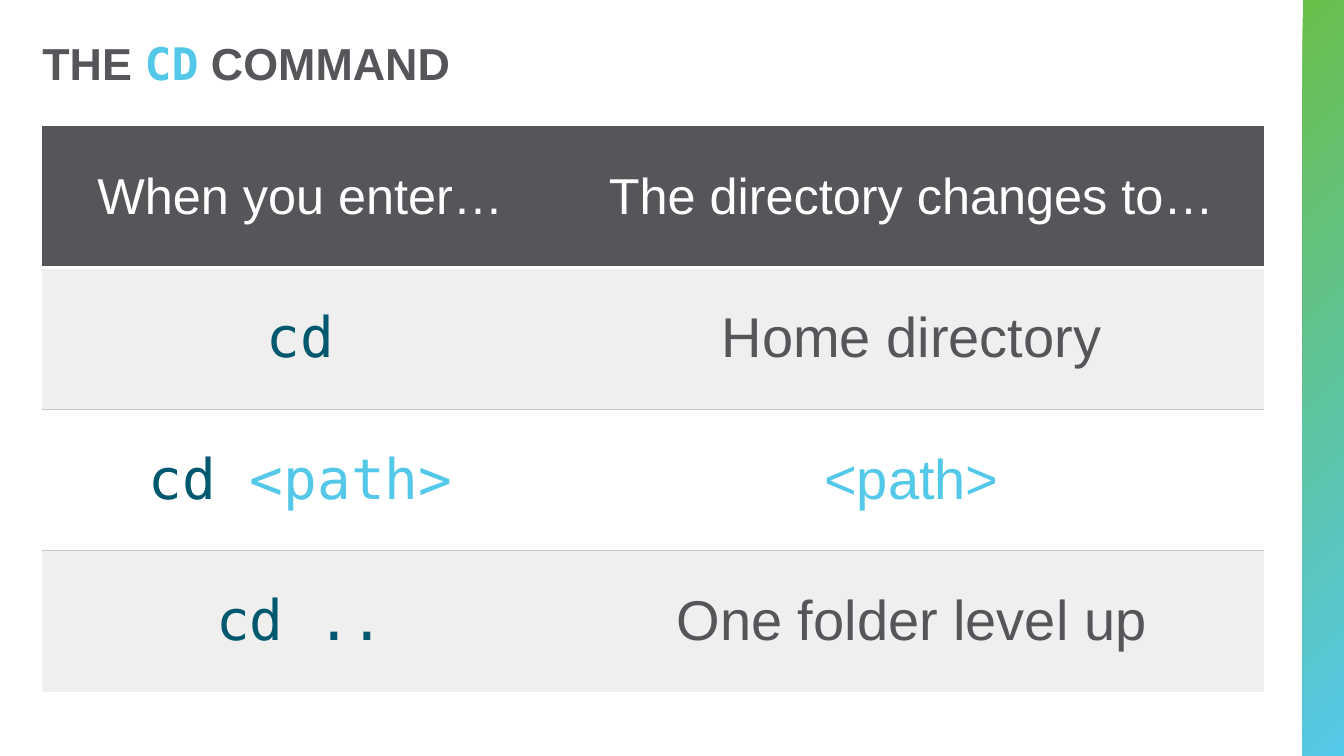
from typing import NamedTuple, Optional

from lxml import etree
from pptx import Presentation
from pptx import util as u
from pptx.dml import color
from pptx.enum import shapes, text
from pptx.oxml import ns

SANS, MONO = "Arial", "DejaVu Sans Mono"
GRAY, SKY, TEAL, WHITE = "56565A", "54C8E8", "00586F", "FFFFFF"
GREEN, PALE, RULE = "6ABF4B", "EFEFF0", "C8C8C8"


class Run(NamedTuple):
    words: str
    size: int
    font: str
    tint: str
    bold: bool = False


class Edge(NamedTuple):
    tint: str
    width: int


class Row(NamedTuple):
    fill: str
    cells: list[list[Run]]


def paint(target, tint: str) -> None:
    target.rgb = color.RGBColor.from_string(tint)


def write(para, runs: list[Run]) -> None:
    for item in runs:
        run = para.add_run()
        run.text = item.words
        font = run.font
        font.size, font.name, font.bold = u.Pt(item.size), item.font, item.bold
        paint(font.color, item.tint)


def border(cell, side: str, edge: Optional[Edge], slot: int) -> None:
    """Put one cell border at its place ahead of the cell fill."""
    line = etree.Element(ns.qn(f"a:ln{side}"))
    if edge:
        line.set("w", str(u.Pt(edge.width)))
        solid = etree.SubElement(line, ns.qn("a:solidFill"))
        etree.SubElement(solid, ns.qn("a:srgbClr"), val=edge.tint)
    else:
        line.set("w", "0")
        etree.SubElement(line, ns.qn("a:noFill"))
    cell._tc.get_or_add_tcPr().insert(slot, line)


def fill_cell(cell, runs: list[Run], fill: str, top: Optional[Edge], base: Edge) -> None:
    cell.fill.solid()
    paint(cell.fill.fore_color, fill)
    cell.vertical_anchor = text.MSO_ANCHOR.MIDDLE
    para = cell.text_frame.paragraphs[0]
    para.alignment = text.PP_ALIGN.CENTER
    write(para, runs)
    sides = {"L": None, "R": None, "T": top, "B": base}
    for slot, (side, edge) in enumerate(sides.items()):
        border(cell, side, edge, slot)


def head(words: str) -> list[Run]:
    return [Run(words, 36, SANS, WHITE)]


def code(words: str, tint: str = TEAL) -> Run:
    return Run(words, 40, MONO, tint)


def plain(words: str, tint: str = GRAY) -> Run:
    return Run(words, 40, SANS, tint)


deck = Presentation()
deck.slide_width, deck.slide_height = u.Inches(13.33), u.Inches(7.5)
slide = deck.slides.add_slide(deck.slide_layouts[6])

# Gradient band on the right
band = slide.shapes.add_shape(
    shapes.MSO_SHAPE.RECTANGLE, u.Inches(12.92), 0, u.Inches(0.41), u.Inches(7.5))
band.shadow.inherit = False
band.line.fill.background()
band.fill.gradient()
band.fill.gradient_angle = 315
for stop, (spot, tint) in zip(band.fill.gradient_stops, [(0.01, GREEN), (0.99, SKY)]):
    stop.position = spot
    paint(stop.color, tint)

# Title
title = slide.shapes.add_textbox(
    u.Inches(0.42), u.Inches(0.25), u.Inches(12.5), u.Inches(0.75))
frame = title.text_frame
frame.word_wrap = True
frame.vertical_anchor = text.MSO_ANCHOR.MIDDLE
frame.margin_left = frame.margin_right = frame.margin_bottom = 0
frame.margin_top = u.Inches(0.05)
frame.paragraphs[0].line_spacing = 0.9
write(frame.paragraphs[0], [
    Run("THE ", 32, SANS, GRAY, True),
    Run("CD", 32, MONO, SKY, True),
    Run(" COMMAND", 32, SANS, GRAY, True),
])

# Command table
rows = [
    Row(GRAY, [head("When you enter…"), head("The directory changes to…")]),
    Row(PALE, [[code("cd")], [plain("Home directory")]]),
    Row(WHITE, [[code("cd "), code("<path>", SKY)], [plain("<path>", SKY)]]),
    Row(PALE, [[code("cd ..")], [plain("One folder level up")]]),
]
widths = [5.12, 7]
# Horizontal borders from the top of the table to its bottom
edges = [None, Edge(WHITE, 3), Edge(RULE, 1), Edge(RULE, 1), Edge(WHITE, 1)]

table = slide.shapes.add_table(
    len(rows), len(widths), u.Inches(0.42), u.Inches(1.25),
    u.Inches(sum(widths)), u.Inches(5.62)).table
table.first_row = table.horz_banding = False
for col, width in zip(table.columns, widths):
    col.width = u.Inches(width)
for r, row in enumerate(rows):
    for c, runs in enumerate(row.cells):
        fill_cell(table.cell(r, c), runs, row.fill, edges[r], edges[r + 1])

deck.save("out.pptx")
